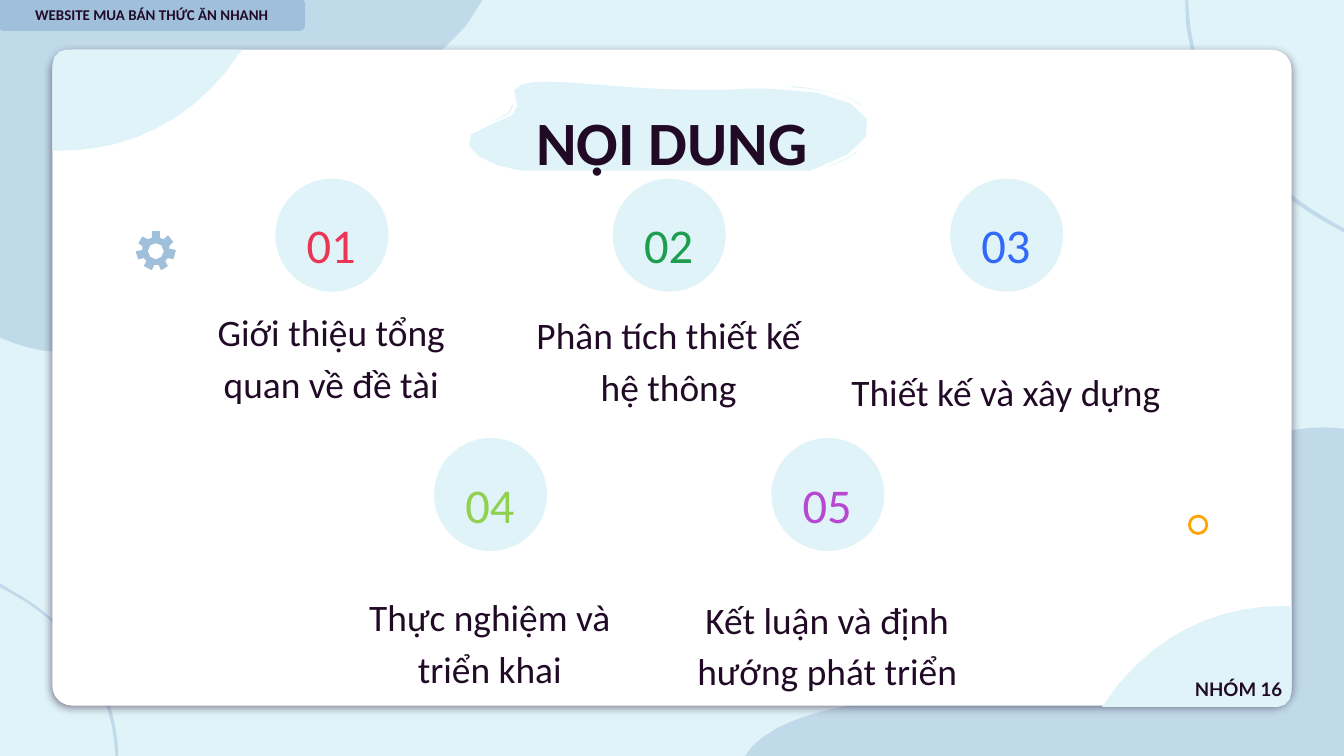
"""Build the contents slide of a student project deck."""
import dataclasses
import math

import lxml.etree
import pptx
import pptx.dml.color
import pptx.enum.shapes
import pptx.enum.text
import pptx.oxml
import pptx.oxml.ns
import pptx.util

SCALE = 9144
WIDE, HIGH = 1000, 563
ANCHOR = pptx.enum.text.MSO_ANCHOR
KIND = pptx.enum.shapes.MSO_SHAPE


@dataclasses.dataclass(frozen=True)
class Theme:
    ink: str = "210A26"
    pale: str = "DFF3F8"
    blue: str = "A0BFDB"
    white: str = "FFFFFF"
    gold: str = "FFA406"
    red: str = "EA3554"
    green: str = "1D9E4E"
    azure: str = "3169F8"
    lime: str = "92D050"
    plum: str = "B748CF"
    font: str = "Calibri"
    foot: str = "Lato"
    title: int = 33
    number: int = 26
    body: int = 20
    small: int = 10
    tab: int = 8


THEME = Theme()

WAVES = [
    [(884, 0), (885, 36, 897, 73, 918, 102), (940, 131, 968, 153, 1000, 170),
     (1000, 173), (996, 171, 993, 169, 989, 167), (963, 153, 940, 133, 921, 110),
     (902, 86, 889, 57, 884, 27), (882, 18, 882, 9, 882, 0)],
    [(45, 262), (22, 262, 0, 251, 0, 251), (0, 0), (359, 0),
     (313, 91, 171, 73, 112, 91), (53, 109, 118, 196, 86, 242),
     (75, 258, 60, 262, 45, 262)],
    [(554, HIGH), (570, 536, 624, 519, 712, 519), (725, 519),
     (857, 519, 801, 403, 899, 342), (925, 326, 960, 318, 985, 318),
     (991, 318, 996, 319, 1000, 319), (1000, HIGH)],
    [(86, HIGH), (85, 536, 76, 509, 60, 487), (45, 465, 24, 449, 0, 437),
     (0, 434), (3, 436, 5, 437, 8, 439), (27, 449, 45, 464, 59, 481),
     (73, 499, 82, 520, 86, 542), (87, 549, 88, 556, 88, HIGH)],
]
BRUSH_BOX = (329, 61, 342, 66)
BRUSH = [
    [(409, 61), (401, 61, 394, 61, 388, 63), (370, 69, 405, 81, 365, 93),
     (329, 103, 358, 124, 388, 127), (603, 127), (671, 106, 658, 66, 571, 66),
     (566, 66, 561, 66, 556, 66), (545, 67, 535, 67, 525, 67),
     (472, 67, 435, 61, 409, 61)],
    [(589, 64), (589, 65), (612, 66, 632, 71, 640, 78), (641, 78),
     (632, 71, 612, 66, 589, 64)],
    [(381, 78), (381, 83, 376, 87, 366, 90), (367, 90), (377, 87, 382, 83, 382, 78)],
    [(637, 113), (632, 117, 625, 121, 615, 124), (616, 124),
     (626, 121, 633, 117, 638, 113)],
]
GEAR = [
    [(113, 172), (113, 177), (110, 178), (106, 176), (103, 181), (106, 183),
     (106, 186), (101, 187), (103, 193), (107, 192), (109, 194), (107, 198),
     (113, 201), (115, 197), (118, 197), (120, 201), (125, 198), (123, 194),
     (125, 192), (129, 193), (131, 186), (126, 185), (126, 183), (129, 180),
     (125, 175), (122, 178), (119, 177), (119, 172)],
    [(116, 181), (119, 181, 122, 183, 122, 187), (122, 190, 119, 193, 116, 193),
     (113, 193, 110, 190, 110, 187), (110, 183, 113, 181, 116, 181)],
]
CORNERS = [
    [(180, 37), (143, 94, 90, 112, 47, 112), (44, 112, 42, 112, 39, 112), (39, 48),
     (39, 42, 44, 37, 49, 37)],
    [(820, 526), (857, 469, 910, 451, 953, 451), (956, 451, 958, 451, 961, 451),
     (961, 515), (961, 521, 956, 526, 951, 526)],
]
ITEMS = [
    ("01", "Giới thiệu tổng quan về đề tài", THEME.red, 0, 0, 214, 251),
    ("02", "Phân tích thiết kế hệ thông", THEME.green, 0, 1, 216, 251),
    ("03", "Thiết kế và xây dựng", THEME.azure, 0, 2, 220, 251),
    ("04", "Thực nghiệm và triển khai", THEME.lime, 1, 0, 426, 251),
    ("05", "Kết luận và định hướng phát triển", THEME.plum, 1, 1, 428, 269),
]
ROWS = [(121, 133), (239, 326)]
STEP = 251


def px(*sizes):
    return [pptx.util.Emu(round(size * SCALE)) for size in sizes]


def rgb(code):
    return pptx.dml.color.RGBColor.from_string(code)


def paint(shape, color, line=None):
    shape.shadow.inherit = False
    if color:
        shape.fill.solid()
        shape.fill.fore_color.rgb = rgb(color)
    else:
        shape.fill.background()
    if line:
        shape.line.color.rgb = rgb(line)
        shape.line.width = pptx.util.Pt(1.5)
    else:
        shape.line.fill.background()
    return shape


def trace(path):
    points = [path[0]]
    for part in path[1:]:
        if len(part) == 2:
            points.append(part)
            continue
        knots = [points[-1], part[:2], part[2:4], part[4:]]
        steps = max(1, round(math.sqrt(0.6 * math.dist(knots[0], knots[3]))))
        for step in range(1, steps + 1):
            t = step / steps
            mix = ((1 - t) ** 3, 3 * t * (1 - t) ** 2, 3 * t * t * (1 - t), t ** 3)
            points.append(tuple(sum(m * k[axis] for m, k in zip(mix, knots))
                                for axis in (0, 1)))
    return points


def outline(shapes, paths, color):
    traces = [[px(*point) for point in trace(path)] for path in paths]
    pen = shapes.build_freeform(*traces[0][0], scale=1.0)
    for index, points in enumerate(traces):
        if index:
            pen.move_to(*points[0])
        pen.add_line_segments(points[1:], close=True)
    return paint(pen.convert_to_shape(), color)


def waves(slide):
    group = slide.shapes.add_group_shape()
    for path in WAVES:
        shape = outline(group.shapes, [path], THEME.blue)
        tint = shape._element.spPr.find(".//" + pptx.oxml.ns.qn("a:srgbClr"))
        lxml.etree.SubElement(tint, pptx.oxml.ns.qn("a:alpha"), val="48000")


def brush(slide, box, paths):
    left, top, wide, high = BRUSH_BOX
    ratio = (box[2] / wide, box[3] / high)

    def move(part):
        return tuple(box[i % 2] + (value - (left, top)[i % 2]) * ratio[i % 2]
                     for i, value in enumerate(part))

    group = slide.shapes.add_group_shape()
    for path in paths:
        outline(group.shapes, [[move(part) for part in path]], THEME.pale)


def block(slide, kind, box, color, line=None, bend=None):
    shape = paint(slide.shapes.add_shape(kind, *px(*box)), color, line)
    if bend is not None:
        shape.adjustments[0] = bend
    return shape


def card(slide):
    shape = block(slide, KIND.ROUNDED_RECTANGLE, (39, 37, 922, 488), THEME.white,
                  bend=0.03)
    effect = shape._element.spPr.find(pptx.oxml.ns.qn("a:effectLst"))
    effect.append(pptx.oxml.parse_xml(
        f'<a:outerShdw {pptx.oxml.ns.nsdecls("a")} blurRad="57150" dist="19050" '
        f'dir="5400000" algn="bl" rotWithShape="0"><a:srgbClr val="{THEME.ink}">'
        '<a:alpha val="50000"/></a:srgbClr></a:outerShdw>'))


def write(shape, text, size, color=THEME.ink, anchor=ANCHOR.MIDDLE, bold=False,
          font=THEME.font, space=1.15):
    frame = shape.text_frame
    frame.text = text
    frame.word_wrap = True
    frame.auto_size = pptx.enum.text.MSO_AUTO_SIZE.NONE
    frame.vertical_anchor = anchor
    for side in ("left", "right", "top", "bottom"):
        setattr(frame, "margin_" + side, px(10)[0])
    para = frame.paragraphs[0]
    para.alignment = pptx.enum.text.PP_ALIGN.CENTER
    para.line_spacing = space
    face = para.runs[0].font
    face.name, face.size, face.bold = font, pptx.util.Pt(size), bold
    face.color.rgb = rgb(color)


def label(slide, box, *args, **style):
    write(slide.shapes.add_textbox(*px(*box)), *args, **style)


def head(slide):
    title = slide.shapes.title
    title.left, title.top, title.width, title.height = px(78, 59, 844, 78)
    write(title, "NỘI DUNG", THEME.title, anchor=ANCHOR.TOP, bold=True)
    slide.shapes._spTree.append(title._element)


def item(slide, number, text, color, row, col, low, wide):
    left, top = ROWS[row]
    left += col * STEP
    block(slide, KIND.OVAL, (left + 84, top, 84, 84), THEME.pale)
    label(slide, (left, top + 13, STEP, 65), number, THEME.number, color)
    label(slide, (left - (wide - STEP) // 2, low, wide, 98), text, THEME.body,
          anchor=ANCHOR.BOTTOM)


def main():
    deck = pptx.Presentation()
    deck.slide_width, deck.slide_height = px(WIDE, WIDE * 9 / 16)
    slide = deck.slides.add_slide(deck.slide_layouts[5])
    slide.background.fill.solid()
    slide.background.fill.fore_color.rgb = rgb(THEME.pale)
    waves(slide)
    card(slide)
    brush(slide, BRUSH_BOX, BRUSH)
    head(slide)
    for entry in ITEMS:
        item(slide, *entry)
    outline(slide.shapes, GEAR, THEME.blue)
    for path in CORNERS:
        outline(slide.shapes, [path], THEME.pale)
    block(slide, KIND.OVAL, (885, 384, 13, 13), None, THEME.gold)
    brush(slide, (877, 492, 91, 33), BRUSH[:1])
    tab = block(slide, KIND.ROUNDED_RECTANGLE, (-1, -1, 228, 24), THEME.blue,
                bend=0.17)
    write(tab, "WEBSITE MUA BÁN THỨC ĂN NHANH", THEME.tab, bold=True, space=1.0)
    label(slide, (876, 492, 91, 20), "NHÓM 16", THEME.small, anchor=ANCHOR.TOP,
          bold=True, font=THEME.foot)
    deck.save("out.pptx")


if __name__ == "__main__":
    main()
